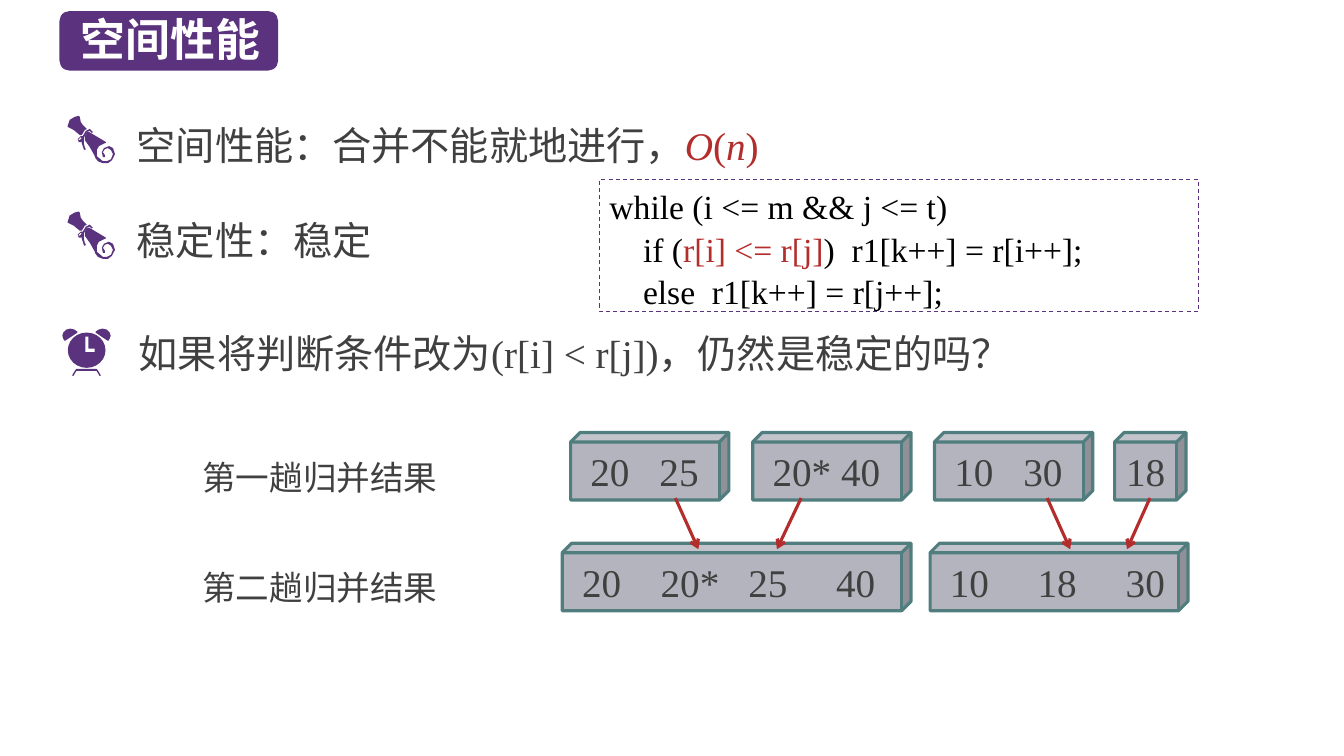
from lxml.etree import SubElement
from pptx import Presentation
from pptx.dml.color import RGBColor
from pptx.enum.dml import MSO_LINE
from pptx.enum.shapes import MSO_CONNECTOR, MSO_SHAPE
from pptx.enum.text import MSO_ANCHOR, MSO_AUTO_SIZE, PP_ALIGN
from pptx.oxml.ns import qn
from pptx.util import Cm, Pt

PURPLE = RGBColor(0x5A, 0x32, 0x7D)
GRAY = RGBColor(0x40, 0x40, 0x40)
RED = RGBColor(0xB4, 0x2D, 0x2D)
TEAL = RGBColor(0x50, 0x7D, 0x7D)
SILVER = RGBColor(0xB4, 0xB4, 0xBE)
BLACK = RGBColor(0, 0, 0)
WHITE = RGBColor(0xFF, 0xFF, 0xFF)
SERIF, SANS = "Times New Roman", "Noto Sans CJK SC"

TITLE = "空间性能"
POINTS = [
    (2.57, 2.92, [("空间性能：合并不能就地进行，", GRAY, False), ("O", RED, True),
                  ("(", RED, False), ("n", RED, True), (")", RED, False)]),
    (4.98, 5.33, [("稳定性：稳定", GRAY, False)]),
]
QUESTION = [("如果将判断条件改为(r[i] < r[j])，仍然是稳定的吗？", GRAY, False)]
CODE = [
    [("while (i <= m && j <= t)", BLACK, False)],
    [("    if (", BLACK, False), ("r[i] <= r[j]", RED, False),
     (")  r1[k++] = r[i++];", BLACK, False)],
    [("    else  r1[k++] = r[j++];", BLACK, False)],
]
PASSES = [
    ("第一趟归并结果", 10.9, [
        (14.38, 3.99, "20\t25", [1.74]), (18.97, 3.99, "20* 40", []),
        (23.55, 3.99, "10\t30", [1.74]), (28.09, 1.8, "18", [])]),
    ("第二趟归并结果", 13.69, [
        (14.17, 8.79, "20\t20*\t25\t40", [1.98, 4.19, 6.4]),
        (23.44, 6.5, "10\t18\t30", [2.21, 4.43])]),
]
ARROWS = [(17.02, 17.6), (20.19, 19.58), (26.39, 26.97), (28.98, 28.4)]
ARROW_TOP, ARROW_BOTTOM = 12.55, 13.84

SCROLL = [
    [[(15, 19), (18, 14), (20, 13), (16, 9), (14, 6), (13, 1), (12, 0), (8, 1), (3, 4),
      (1, 10), (1, 11), (7, 14), (13, 19)]],
    [[(46, 32), (42, 30), (37, 32), (35, 36), (36, 41), (38, 41), (38, 39), (36, 36),
      (38, 33), (41, 32), (44, 34), (46, 38), (44, 43), (40, 45), (36, 45), (30, 40),
      (30, 39), (30, 34), (32, 30), (38, 27), (39, 27), (39, 26), (24, 17), (22, 16),
      (20, 16), (18, 20), (18, 24), (23, 31), (28, 40), (28, 41), (31, 45), (36, 47),
      (41, 47), (45, 44), (48, 38)]],
    [[(18, 34), (17, 33), (15, 27), (15, 25), (14, 26), (12, 26), (11, 23), (14, 20),
      (16, 20), (19, 15), (23, 13), (26, 16), (25, 17), (24, 16), (23, 15), (20, 16),
      (18, 20), (17, 22), (17, 27), (18, 31), (19, 33)],
     [(14, 21), (12, 23), (12, 24), (13, 24), (15, 22)]],
]
BELL = [(0, 7), (1, 10), (2, 12), (3, 12), (15, 4), (15, 3), (12, 1), (8, 0), (4, 1), (1, 4)]
FEET = [(38, 46), (35, 41), (34, 40), (14, 40), (13, 41), (10, 46), (10, 47), (11, 47),
        (14, 42), (34, 42), (37, 47), (38, 47)]
HANDS = [(23, 8), (26, 8), (26, 20), (32, 20), (32, 23), (23, 23)]
CLOCK_WIDTH = 48
CLOCK_X, CLOCK_Y = 1.57, 8.28


def add_runs(p, runs, size, name=SERIF, bold=False):
    for text, color, italic in runs:
        r = p.add_run()
        r.text = text
        r.font.size, r.font.bold, r.font.italic = Pt(size), bold, italic
        r.font.color.rgb = color
        r.font.name = name
        SubElement(r.font._element, qn("a:ea"), typeface=SANS)


def paint(sp, fill, line=None, width=0):
    sp.shadow.inherit = False
    if fill is None:
        sp.fill.background()
    else:
        sp.fill.solid()
        sp.fill.fore_color.rgb = fill
    if line is None:
        sp.line.fill.background()
    else:
        sp.line.color.rgb = line
        sp.line.width = Pt(width)


def add_text(shapes, box, runs, size, name=SERIF, spacing=None, inset=0.25):
    tf = shapes.add_textbox(*map(Cm, box)).text_frame
    tf.word_wrap = True
    tf.margin_left = Cm(inset)
    p = tf.paragraphs[0]
    p.line_spacing = spacing
    add_runs(p, runs, size, name)


def add_outline(shapes, contours, x, y, color=PURPLE):
    builder = None
    for start, *rest in contours:
        if builder is None:
            builder = shapes.build_freeform(*start, scale=Cm(2.54) / 100)
        else:
            builder.move_to(*start)
        builder.add_line_segments(rest, close=True)
    paint(builder.convert_to_shape(Cm(x), Cm(y)), color)


def add_cube(shapes, x, y, width, text, tabs):
    sp = shapes.add_shape(MSO_SHAPE.CUBE, Cm(x), Cm(y), Cm(width), Cm(1.7))
    sp.adjustments[0] = 0.14
    paint(sp, SILVER, TEAL, 2.25)
    tf = sp.text_frame
    tf.word_wrap = True
    tf.vertical_anchor = MSO_ANCHOR.MIDDLE
    p = tf.paragraphs[0]
    single = text.isdigit()
    p.alignment = PP_ALIGN.CENTER if single else PP_ALIGN.LEFT
    tf.margin_left, tf.margin_right = Cm(0 if single else 0.5), Cm(0)
    if tabs:
        stops = SubElement(p._p.get_or_add_pPr(), qn("a:tabLst"))
        for tab in tabs:
            SubElement(stops, qn("a:tab"), pos=str(Cm(tab)), algn="l")
    add_runs(p, [(text, GRAY, False)], 28)


def add_title(s):
    badge = s.shapes.add_shape(MSO_SHAPE.ROUNDED_RECTANGLE, Cm(1.5), Cm(0.28), Cm(5.51), Cm(1.5))
    paint(badge, PURPLE)
    s.shapes._spTree.insert(2, badge._element)
    title = s.shapes.title
    title.left, title.top, title.width, title.height = Cm(1.78), Cm(0.18), Cm(5.33), Cm(1.63)
    tf = title.text_frame
    tf.auto_size = MSO_AUTO_SIZE.NONE
    tf.vertical_anchor = MSO_ANCHOR.TOP
    tf.paragraphs[0].alignment = PP_ALIGN.LEFT
    add_runs(tf.paragraphs[0], [(TITLE, WHITE, False)], 32, SANS, True)


def add_code(s):
    sp = s.shapes.add_shape(MSO_SHAPE.RECTANGLE, Cm(15.11), Cm(4.52), Cm(15.09), Cm(3.33))
    paint(sp, None, PURPLE, 0.75)
    sp.line.dash_style = MSO_LINE.DASH
    tf = sp.text_frame
    tf.word_wrap = True
    tf.vertical_anchor = MSO_ANCHOR.TOP
    for i, runs in enumerate(CODE):
        p = tf.add_paragraph() if i else tf.paragraphs[0]
        p.alignment = PP_ALIGN.LEFT
        p.line_spacing = 1.05
        add_runs(p, runs, 24)


def add_question(s):
    shapes = s.shapes.add_group_shape().shapes
    mirrored = [(CLOCK_WIDTH - x, y) for x, y in BELL]
    for outline in (FEET, BELL, mirrored):
        add_outline(shapes, [outline], CLOCK_X, CLOCK_Y)
    face = shapes.add_shape(MSO_SHAPE.OVAL, Cm(1.71), Cm(8.38), Cm(0.95), Cm(0.89))
    paint(face, PURPLE)
    add_outline(shapes, [HANDS], CLOCK_X, CLOCK_Y, WHITE)
    add_text(shapes, (3.25, 7.82, 23.95, 1.8), QUESTION, 28, spacing=1.3)


def add_arrow(s, x1, x2):
    c = s.shapes.add_connector(MSO_CONNECTOR.STRAIGHT, Cm(x1), Cm(ARROW_TOP), Cm(x2), Cm(ARROW_BOTTOM))
    c.line.color.rgb = RED
    c.line.width = Pt(2.25)
    SubElement(c.line._get_or_add_ln(), qn("a:tailEnd"), type="arrow")
    SubElement(c._element.spPr, qn("a:effectLst"))


def main():
    """Build the merge sort space and stability slide."""
    prs = Presentation()
    prs.slide_width, prs.slide_height = Cm(33.87), Cm(19.05)
    s = prs.slides.add_slide(prs.slide_layouts[5])
    add_title(s)
    for text_y, icon_y, runs in POINTS:
        shapes = s.shapes.add_group_shape().shapes
        add_text(shapes, (2.95, text_y, 18.67, 1.8), runs, 28, spacing=1.3, inset=0.5)
        for contours in SCROLL:
            add_outline(shapes, contours, 1.68, icon_y)
    for label, y, cubes in PASSES:
        add_text(s.shapes, (4.85, y + 0.48, 7.11, 1.27), [(label, GRAY, False)], 24, SANS)
        for x, width, text, tabs in cubes:
            add_cube(s.shapes, x, y, width, text, tabs)
    for x1, x2 in ARROWS:
        add_arrow(s, x1, x2)
    add_code(s)
    add_question(s)
    prs.save("out.pptx")


if __name__ == "__main__":
    main()
